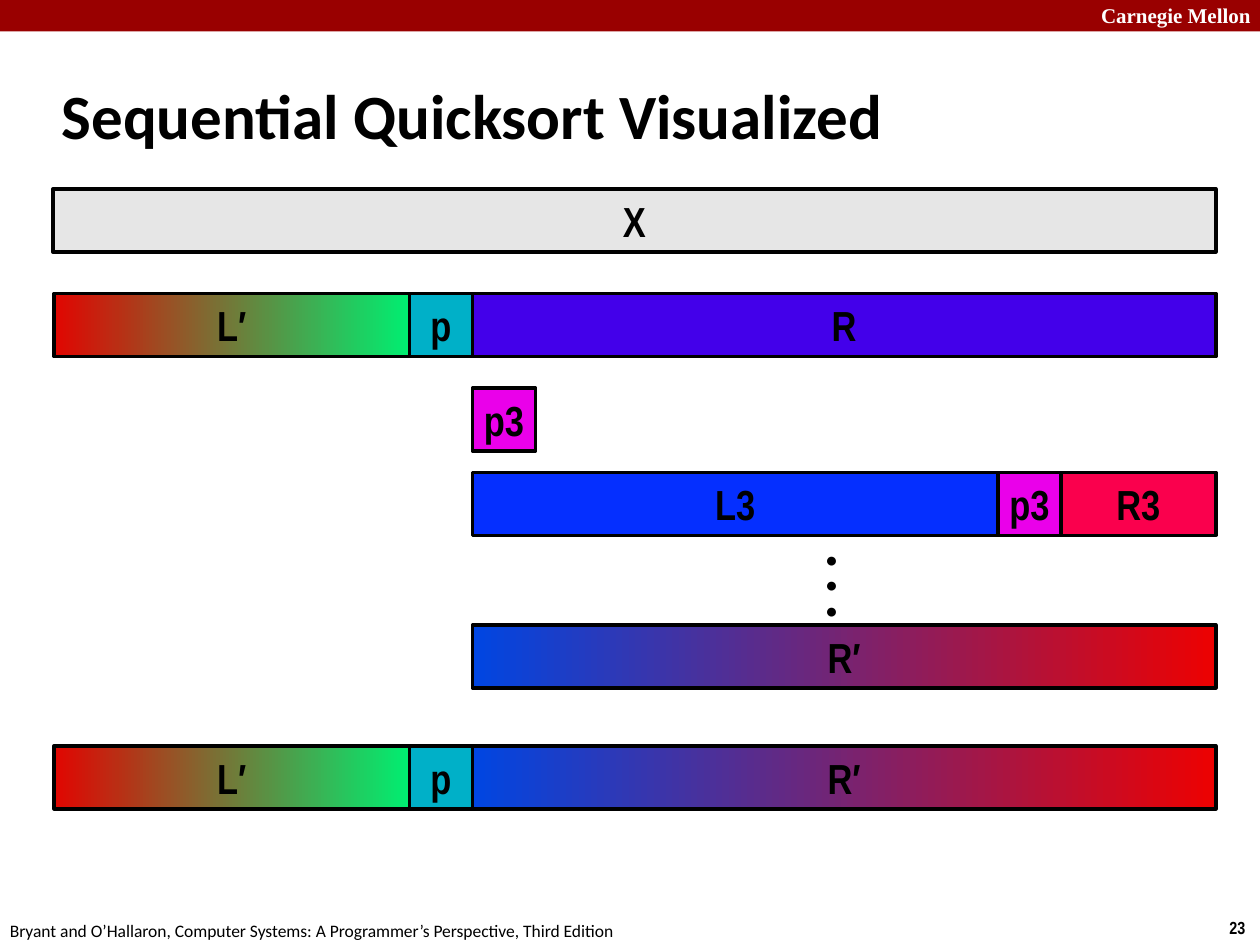
from dataclasses import dataclass

from pptx import Presentation
from pptx.dml.color import RGBColor as Color
from pptx.enum.shapes import MSO_SHAPE as Preset
from pptx.enum.text import MSO_ANCHOR as Anchor, MSO_AUTO_SIZE as AutoSize, PP_ALIGN as Align
from pptx.util import Inches, Pt


@dataclass(frozen=True)
class Theme:
    black: str = "000000"
    white: str = "FFFFFF"
    banner: str = "990000"
    array: str = "E6E6E6"
    pivot: str = "00B0C8"
    right: str = "4300EA"
    pivot3: str = "EA00EA"
    left3: str = "052FFF"
    right3: str = "FA004D"
    left_sorted: tuple = ("E10601", "00EE71")
    right_sorted: tuple = ("0046E2", "ED0101")
    body: str = "Calibri"
    label: str = "Arial Narrow"
    serif: str = "Times New Roman"
    title_size: int = 36
    label_size: int = 24
    header_size: int = 12
    footer_size: int = 10


theme = Theme()


def add_run(para, text, font, size, bold=True, color=theme.black):
    span = para.add_run()
    span.text = text
    span.font.name = font
    span.font.size = Pt(size)
    span.font.bold = bold
    span.font.color.rgb = Color.from_string(color)


def add_block(left, top, width, height, fill, label=None):
    block = page.shapes.add_shape(
        Preset.RECTANGLE, Inches(left), Inches(top), Inches(width), Inches(height))
    block.shadow.inherit = False
    if isinstance(fill, tuple):
        block.fill.gradient()
        block.fill.gradient_angle = 0
        for stop, color in zip(block.fill.gradient_stops, fill):
            stop.color.rgb = Color.from_string(color)
        for stop, position in zip(block.fill.gradient_stops, (0, 1)):
            stop.position = position
    else:
        block.fill.solid()
        block.fill.fore_color.rgb = Color.from_string(fill)
    if label is None:
        block.line.fill.background()
        return
    block.line.color.rgb = Color.from_string(theme.black)
    block.line.width = Pt(2)
    frame = block.text_frame
    frame.word_wrap = False
    frame.vertical_anchor = Anchor.MIDDLE
    frame.paragraphs[0].alignment = Align.CENTER
    add_run(frame.paragraphs[0], label, theme.label, theme.label_size)


deck = Presentation()
deck.slide_width, deck.slide_height = Inches(10), Inches(7.5)
page = deck.slides.add_slide(deck.slide_layouts[5])

add_block(0, 0, 10, 0.25, theme.banner)

title = page.shapes.title
title.left, title.top, title.width, title.height = map(Inches, (0.39, 0.49, 8.3, 0.83))
title.text_frame.auto_size = AutoSize.NONE
title.text_frame.vertical_anchor = Anchor.MIDDLE
title.text_frame.paragraphs[0].alignment = Align.LEFT
add_run(title.text_frame.paragraphs[0], "Sequential Quicksort Visualized",
        theme.body, theme.title_size)

texts = [
    (8.64, -0.03, 1.43, 0.3, True, ["Carnegie Mellon"],
     theme.serif, theme.header_size, True, theme.white),
    (9.66, 7.23, 0.34, 0.27, False, ["23"],
     theme.label, theme.footer_size, True, theme.black),
    (-0.02, 7.25, 5.08, 0.27, False,
     ["Bryant and O’Hallaron, Computer Systems: A Programmer’s Perspective, Third Edition"],
     theme.body, theme.footer_size, False, theme.black),
    (6.46, 4.29, 0.28, 0.71, False, ["•"] * 3,
     theme.body, theme.header_size, True, theme.black),
]
for left, top, width, height, wrap, lines, font, size, bold, color in texts:
    box = page.shapes.add_textbox(Inches(left), Inches(top), Inches(width), Inches(height))
    frame = box.text_frame
    frame.word_wrap = wrap
    frame.auto_size = AutoSize.SHAPE_TO_FIT_TEXT
    for index, line in enumerate(lines):
        para = frame.add_paragraph() if index else frame.paragraphs[0]
        add_run(para, line, font, size, bold, color)

cell = 0.5
array_left, array_right = 0.43, 9.65
pivot_left = 3.25
right_left = pivot_left + cell
pivot3_left = 7.92

left_part = (array_left, pivot_left, theme.left_sorted, "L′")
pivot_part = (pivot_left, right_left, theme.pivot, "p")
right_part = (right_left, array_right, theme.right_sorted, "R′")
rows = [
    (1.5, [(0.42, array_right, theme.array, "X")]),
    (2.33, [left_part, pivot_part, (right_left, array_right, theme.right, "R")]),
    (3.08, [(right_left, right_left + cell, theme.pivot3, "p3")]),
    (3.75, [(right_left, pivot3_left, theme.left3, "L3"),
            (pivot3_left, pivot3_left + cell, theme.pivot3, "p3"),
            (pivot3_left + cell, array_right, theme.right3, "R3")]),
    (4.96, [right_part]),
    (5.92, [left_part, pivot_part, right_part]),
]
for top, parts in rows:
    for start, end, fill, label in parts:
        add_block(start, top, end - start, cell, fill, label)

deck.save("out.pptx")
